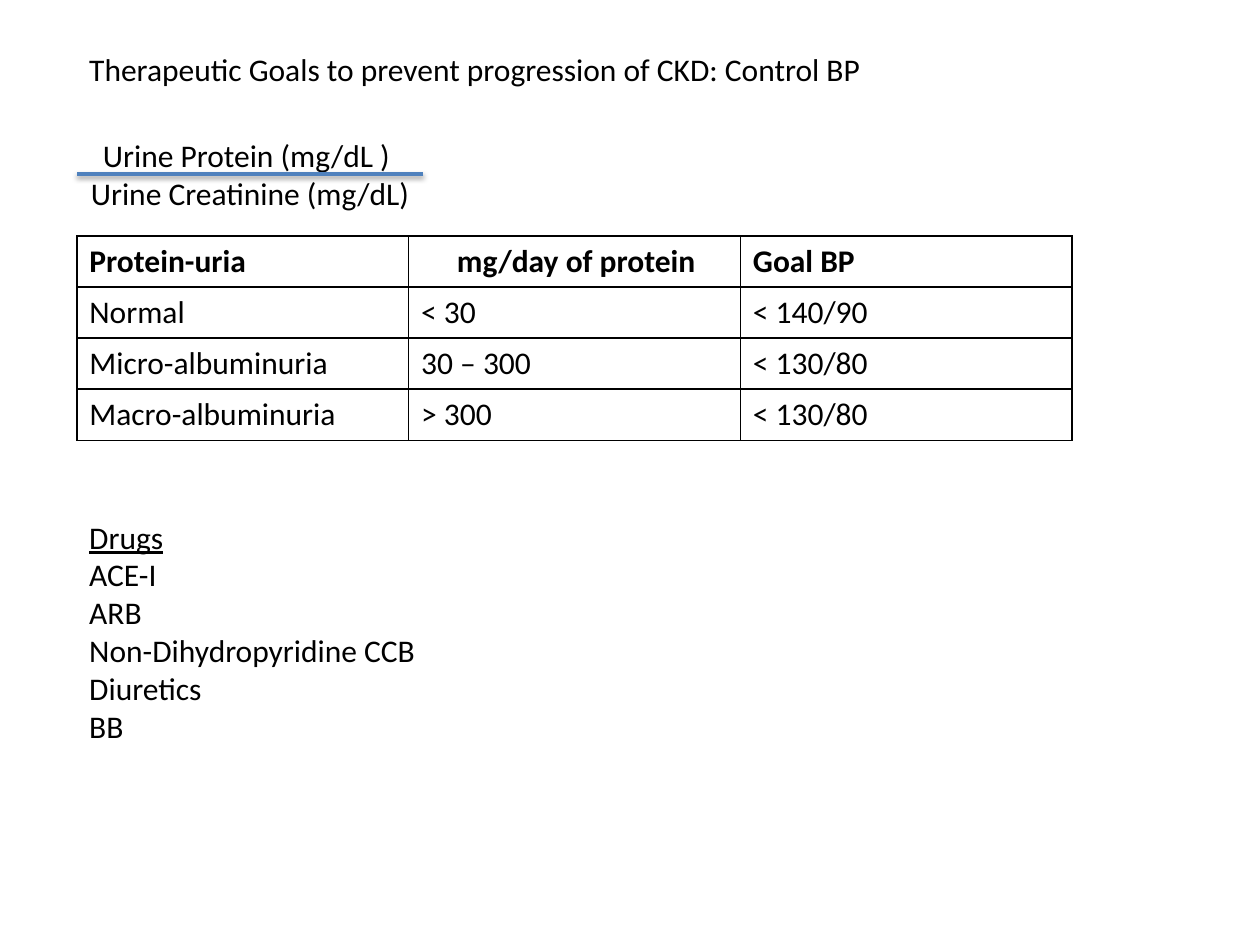
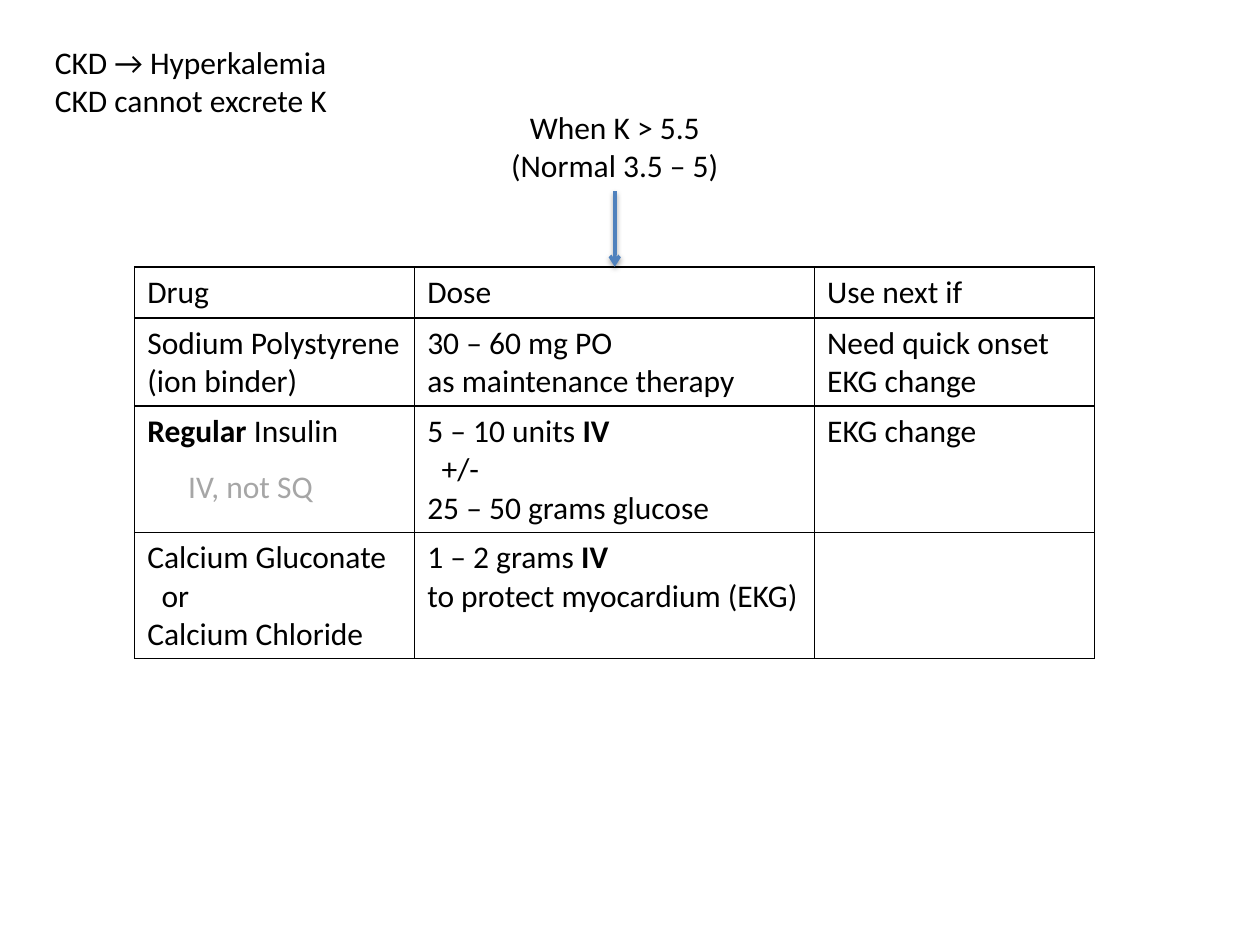
from dataclasses import dataclass

from lxml.etree import SubElement
from pptx import Presentation
from pptx.dml.color import RGBColor
from pptx.enum.shapes import MSO_CONNECTOR
from pptx.enum.text import MSO_AUTO_SIZE, PP_ALIGN
from pptx.oxml.ns import qn
from pptx.slide import Slide
from pptx.table import _Cell as Cell
from pptx.text.text import TextFrame
from pptx.util import Pt


@dataclass(frozen=True)
class Theme:
    font: str = "Calibri"
    size: float = 18
    text: str = "000000"
    muted: str = "A6A6A6"
    accent: str = "4F81BD"
    border_width: float = 1
    line_width: float = 2
    row_height: float = 29.2


THEME = Theme()


@dataclass(frozen=True)
class Run:
    text: str
    bold: bool = False
    underline: bool = False
    color: str = THEME.text


@dataclass(frozen=True)
class Line:
    runs: tuple[Run, ...]
    indent: float = 0


Content = str | Run | Line


@dataclass(frozen=True)
class TextBox:
    left: float
    top: float
    width: float
    height: float
    lines: tuple[Content, ...]
    centered: bool = False
    wrap: bool = False


@dataclass(frozen=True)
class Grid:
    left: float
    top: float
    columns: tuple[float, ...]
    row_heights: tuple[float, ...]
    rows: tuple[tuple[tuple[Content, ...], ...], ...]


@dataclass(frozen=True)
class Rule:
    start: tuple[float, float]
    end: tuple[float, float]
    arrow: bool = False


def as_line(content: Content) -> Line:
    if isinstance(content, Line):
        return content
    return Line((content if isinstance(content, Run) else Run(content),))


def write_lines(frame: TextFrame, lines: tuple[Content, ...], centered: bool = False) -> None:
    for index, line in enumerate(map(as_line, lines)):
        paragraph = frame.add_paragraph() if index else frame.paragraphs[0]
        paragraph.alignment = PP_ALIGN.CENTER if centered else PP_ALIGN.LEFT
        if line.indent:
            paragraph._p.get_or_add_pPr().set("marL", str(Pt(line.indent)))
        for item in line.runs:
            run = paragraph.add_run()
            run.text = item.text
            font = run.font
            font.name, font.size = THEME.font, Pt(THEME.size)
            font.bold, font.underline = item.bold, item.underline
            font.color.rgb = RGBColor.from_string(item.color)


def draw_text(slide: Slide, box: TextBox) -> None:
    shape = slide.shapes.add_textbox(Pt(box.left), Pt(box.top), Pt(box.width), Pt(box.height))
    shape.text_frame.word_wrap = box.wrap
    shape.text_frame.auto_size = MSO_AUTO_SIZE.SHAPE_TO_FIT_TEXT
    write_lines(shape.text_frame, box.lines, box.centered)


def draw_borders(cell: Cell) -> None:
    properties = cell._tc.get_or_add_tcPr()
    for side in ("lnL", "lnR", "lnT", "lnB"):
        border = SubElement(properties, qn(f"a:{side}"), w=str(Pt(THEME.border_width)))
        fill = SubElement(border, qn("a:solidFill"))
        SubElement(fill, qn("a:srgbClr"), val=THEME.text)


def draw_table(slide: Slide, grid: Grid) -> None:
    shape = slide.shapes.add_table(
        len(grid.rows), len(grid.columns), Pt(grid.left), Pt(grid.top),
        Pt(sum(grid.columns)), Pt(sum(grid.row_heights)))
    table = shape.table
    table.first_row = table.horz_banding = False
    for column, width in zip(table.columns, grid.columns):
        column.width = Pt(width)
    for row, height, contents in zip(table.rows, grid.row_heights, grid.rows):
        row.height = Pt(height)
        for cell, lines in zip(row.cells, contents):
            draw_borders(cell)
            cell.fill.background()
            write_lines(cell.text_frame, lines)


def draw_rule(slide: Slide, rule: Rule) -> None:
    """Draw an accent line with a soft shadow below it."""
    connector = slide.shapes.add_connector(
        MSO_CONNECTOR.STRAIGHT, *map(Pt, rule.start), *map(Pt, rule.end))
    connector.line.color.rgb = RGBColor.from_string(THEME.accent)
    connector.line.width = Pt(THEME.line_width)
    if rule.arrow:
        SubElement(connector.line._get_or_add_ln(), qn("a:tailEnd"), type="arrow")
    effects = SubElement(connector._element.spPr, qn("a:effectLst"))
    shadow = SubElement(effects, qn("a:outerShdw"), blurRad=str(Pt(3.1)),
                        dist=str(Pt(1.6)), dir="5400000", rotWithShape="0")
    color = SubElement(shadow, qn("a:srgbClr"), val=THEME.text)
    SubElement(color, qn("a:alpha"), val="38000")


def build_blood_pressure(slide: Slide) -> None:
    left, width = 43.9, 568.8
    header = ((Run("Protein-uria", bold=True),),
              (Line((Run("mg/day of protein", bold=True),), indent=20.4),),
              (Run("Goal BP", bold=True),))
    goals = (("Normal", "< 30", "< 140/90"),
             ("Micro-albuminuria", "30 – 300", "< 130/80"),
             ("Macro-albuminuria", "> 300", "< 130/80"))
    rows = (header, *(tuple((text,) for text in goal) for goal in goals))
    draw_table(slide, Grid(left, 134.8, (width / 3,) * 3,
                           (THEME.row_height,) * len(rows), rows))
    draw_text(slide, TextBox(
        left, 25.2, width, 29.1,
        ("Therapeutic Goals to prevent progression of CKD: Control BP",), wrap=True))
    draw_text(slide, TextBox(
        left, 292.2, 382.3, 138.2,
        (Run("Drugs", underline=True), "ACE-I", "ARB", "Non-Dihydropyridine CCB",
         "Diuretics", "BB"), wrap=True))
    draw_text(slide, TextBox(
        left, 74.1, 198, 50.9,
        ("Urine Protein (mg/dL ) ", "Urine Creatinine (mg/dL)"), centered=True))
    draw_rule(slide, Rule((left + 198, 99.4), (left, 99.4)))


def build_hyperkalemia(slide: Slide) -> None:
    table_top, arrow_x, word_indent = 152.5, 351.3, 8.2
    draw_text(slide, TextBox(24.3, 21, 177.1, 50.9,
                             ("CKD → Hyperkalemia", "CKD cannot excrete K")))
    draw_text(slide, TextBox(284.4, 58.3, 133.9, 50.9,
                             ("When K > 5.5", "(Normal 3.5 – 5)"), centered=True))
    iv = Run("IV", bold=True)
    rows = (
        (("Drug",), ("Dose",), ("Use next if",)),
        (("Sodium Polystyrene", "(ion binder)"),
         ("30 – 60 mg PO", "as maintenance therapy"),
         ("Need quick onset", "EKG change")),
        ((Line((Run("Regular", bold=True), Run(" Insulin"))),),
         (Line((Run("5 – 10 units "), iv)), Line((Run("+/-"),), word_indent),
          "25 – 50 grams glucose"),
         ("EKG change",)),
        (("Calcium Gluconate", Line((Run("or"),), word_indent), "Calcium Chloride"),
         (Line((Run("1 – 2 grams "), iv)), "to protect myocardium (EKG)"),
         ()),
    )
    draw_table(slide, Grid(77, table_top, (160, 228.5, 160),
                           (THEME.row_height, 50.4, 72.1, 72.1), rows))
    draw_rule(slide, Rule((arrow_x, 109.2), (arrow_x, table_top), arrow=True))
    draw_text(slide, TextBox(100.5, 263.5, 88.6, 29.1,
                             (Run("IV, not SQ", color=THEME.muted),)))


def main() -> None:
    presentation = Presentation()
    presentation.slide_width, presentation.slide_height = Pt(720), Pt(540)
    for build in (build_blood_pressure, build_hyperkalemia):
        build(presentation.slides.add_slide(presentation.slide_layouts[6]))
    presentation.save("out.pptx")


if __name__ == "__main__":
    main()
